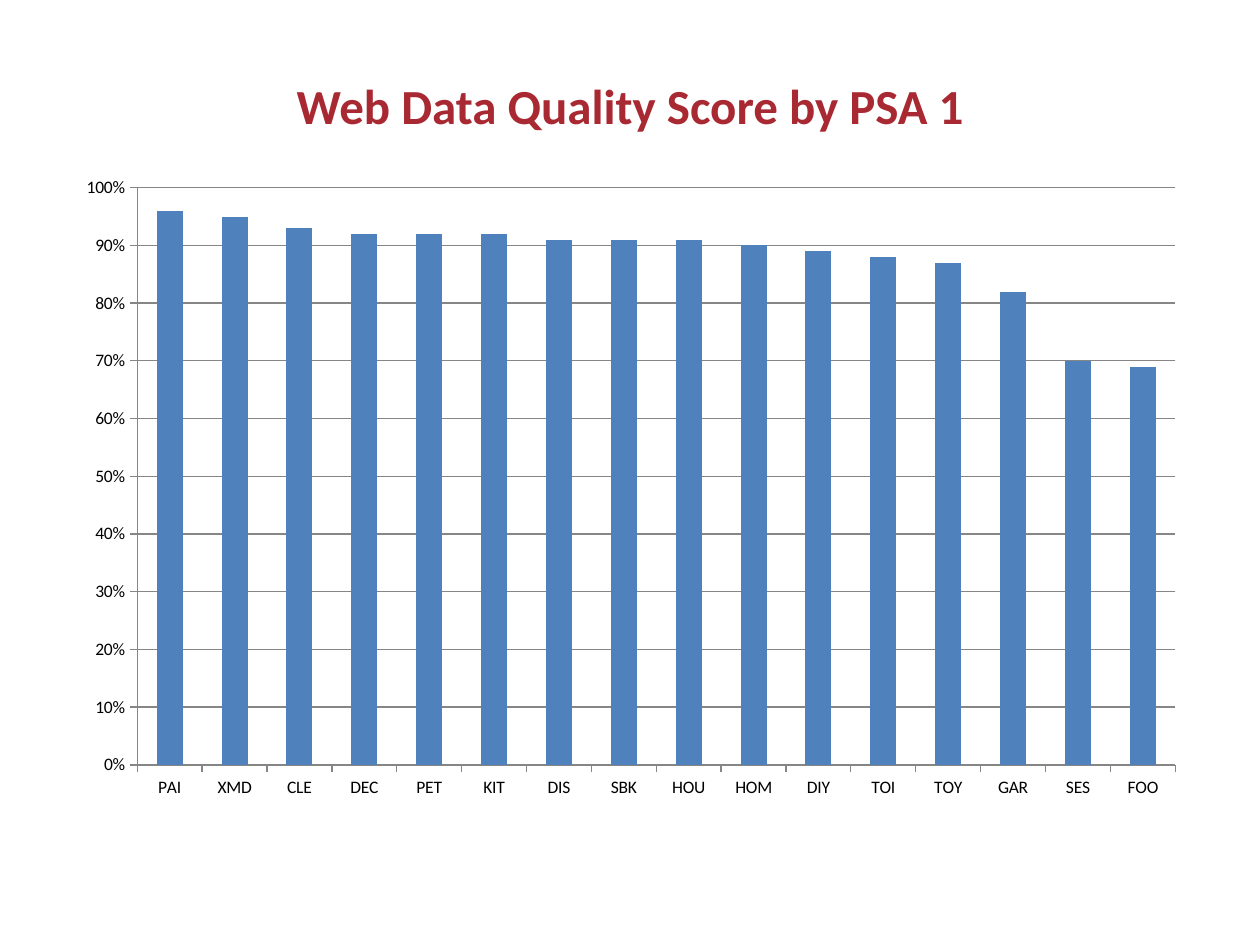
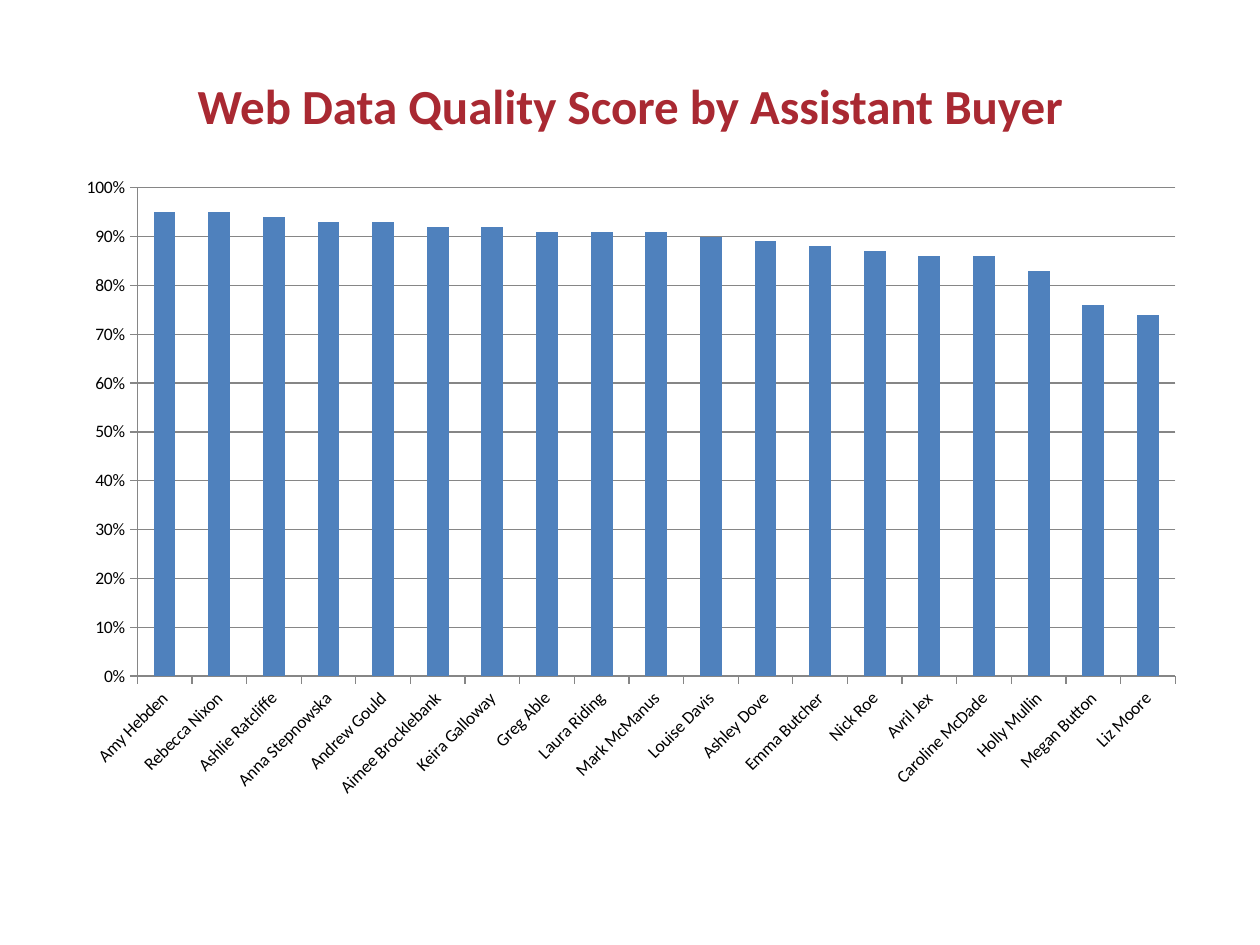
import pptx
import pptx.chart.data
import pptx.dml.color
import pptx.enum.chart
import pptx.enum.text
import pptx.util

PX = 914400 // 126  # EMU in one pixel
FONT = "Calibri"
RED = pptx.dml.color.RGBColor(0xA9, 0x29, 0x32)
BLUE = pptx.dml.color.RGBColor(0x4F, 0x81, 0xBD)
GRAY = pptx.dml.color.RGBColor(0x86, 0x86, 0x86)
BLACK = pptx.dml.color.RGBColor(0, 0, 0)
TITLE_AREA = [n * PX for n in (63, 55, 1134, 100)]
CHART_AREA = [n * PX for n in (64, 165, 1134, 645)]

# Title, label rotation in degrees, scores
charts = [
    ("Web Data Quality Score by PSA 1", 0, {
        "PAI": 0.96, "XMD": 0.95, "CLE": 0.93, "DEC": 0.92,
        "PET": 0.92, "KIT": 0.92, "DIS": 0.91, "SBK": 0.91,
        "HOU": 0.91, "HOM": 0.9, "DIY": 0.89, "TOI": 0.88,
        "TOY": 0.87, "GAR": 0.82, "SES": 0.7, "FOO": 0.69,
    }),
    ("Web Data Quality Score by Assistant Buyer", -45, {
        "Amy Hebden": 0.95, "Rebecca Nixon": 0.95, "Ashlie Ratcliffe": 0.94,
        "Anna Stepnowska": 0.93, "Andrew Gould": 0.93,
        "Aimee Brocklebank": 0.92, "Keira Galloway": 0.92,
        "Greg Able": 0.91, "Laura Riding": 0.91, "Mark McManus": 0.91,
        "Louise Davis": 0.9, "Ashley Dove": 0.89, "Emma Butcher": 0.88,
        "Nick Roe": 0.87, "Avril Jex": 0.86, "Caroline McDade": 0.86,
        "Holly Mullin": 0.83, "Megan Button": 0.76, "Liz Moore": 0.74,
    }),
]

deck = pptx.Presentation()
deck.slide_width = 1260 * PX
deck.slide_height = 945 * PX

for heading, rotation, scores in charts:
    page = deck.slides.add_slide(deck.slide_layouts[5])

    # Title
    title = page.shapes.title
    title.left, title.top, title.width, title.height = TITLE_AREA
    title.text_frame.vertical_anchor = pptx.enum.text.MSO_ANCHOR.MIDDLE
    para = title.text_frame.paragraphs[0]
    para.alignment = pptx.enum.text.PP_ALIGN.CENTER
    span = para.add_run()
    span.text = heading
    span.font.name = FONT
    span.font.size = pptx.util.Pt(28)
    span.font.bold = True
    span.font.color.rgb = RED

    # Column chart
    data = pptx.chart.data.CategoryChartData(number_format="0%")
    data.categories = list(scores)
    data.add_series("Series 1", list(scores.values()))
    chart = page.shapes.add_chart(
        pptx.enum.chart.XL_CHART_TYPE.COLUMN_CLUSTERED, *CHART_AREA, data).chart
    chart.has_title = False
    chart.has_legend = False
    chart.font.name = FONT
    chart.font.size = pptx.util.Pt(10)
    chart.font.color.rgb = BLACK
    plot = chart.plots[0]
    plot.gap_width = 150
    plot.vary_by_categories = False
    bars = plot.series[0]
    bars.invert_if_negative = False
    bars.format.fill.solid()
    bars.format.fill.fore_color.rgb = BLUE

    # Axes and gridlines
    names, percents = chart.category_axis, chart.value_axis
    percents.minimum_scale, percents.maximum_scale = 0, 1
    percents.major_unit = 0.1
    percents.has_major_gridlines = True
    percents.tick_labels.number_format = "0%"
    percents.tick_labels.number_format_is_linked = False
    for lined in (names, percents, percents.major_gridlines):
        lined.format.line.color.rgb = GRAY
        lined.format.line.width = pptx.util.Pt(0.75)
    for axis in (names, percents):
        axis.major_tick_mark = pptx.enum.chart.XL_TICK_MARK.OUTSIDE
        axis.tick_labels.font.size = pptx.util.Pt(10)
        axis.tick_labels.font.name = FONT
        axis.tick_labels.font.color.rgb = BLACK
    label_body = names._element.find(".//" + pptx.oxml.ns.qn("a:bodyPr"))
    label_body.set("rot", str(rotation * 60000))

deck.save("out.pptx")
